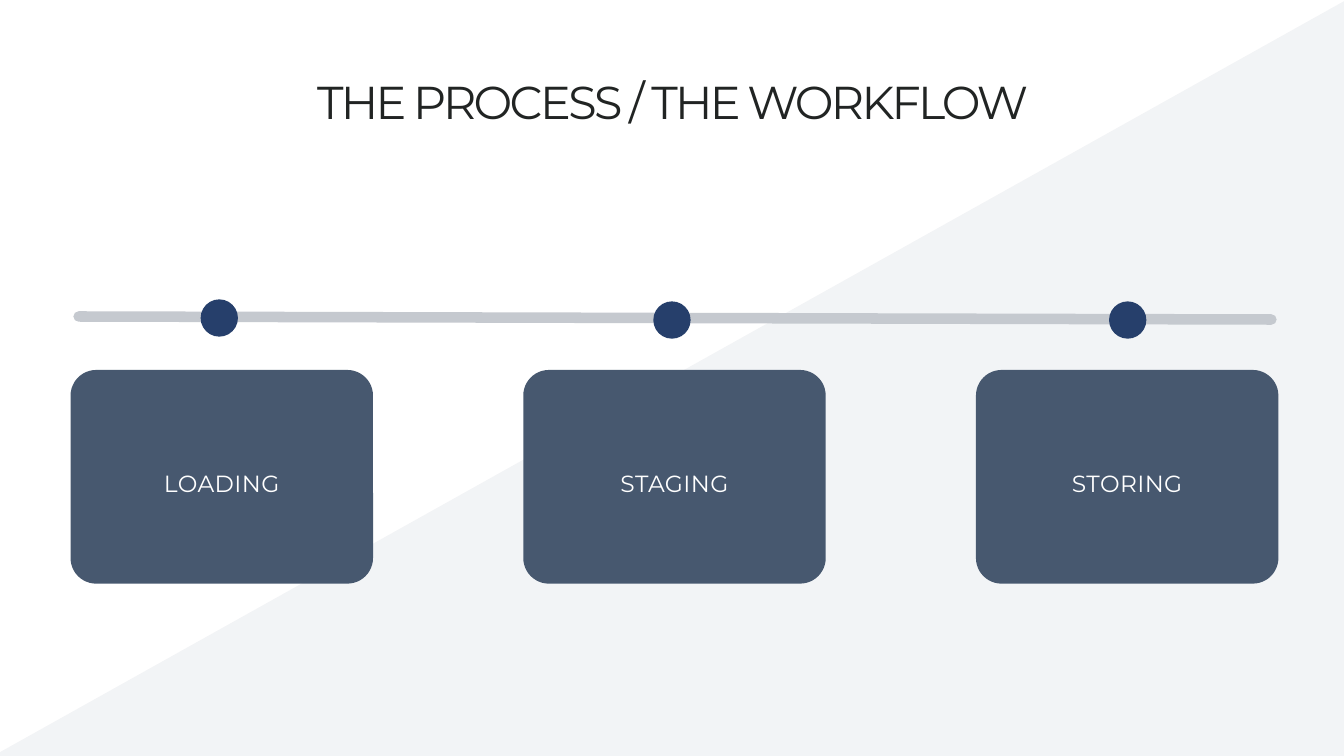
from lxml import etree
from pptx import Presentation
from pptx.dml.color import RGBColor
from pptx.enum import shapes, text
from pptx.oxml import ns
from pptx.util import Inches, Pt

COLORS = {
    "wash": "082953",
    "track": "C5C9CF",
    "dot": "263F6B",
    "card": "47586F",
    "title": "212423",
    "label": "FFFFFF",
}
FONT = "Montserrat"
STAGES = [("LOADING", 1.99, 2.97), ("STAGING", 6.48, 2.99), ("STORING", 11, 2.99)]
CARD_STEP = 4.49
DOT_SIZE = 0.37


def add_filled_shape(slide, kind, box, color):
    shape = slide.shapes.add_shape(kind, *map(Inches, box))
    shape.shadow.inherit = False
    shape.fill.solid()
    shape.fill.fore_color.rgb = RGBColor.from_string(COLORS[color])
    shape.line.fill.background()
    return shape


def write_line(frame, words, size, leading, spacing, color):
    frame.word_wrap = True
    frame.auto_size = text.MSO_AUTO_SIZE.NONE
    frame.margin_left = frame.margin_right = 0
    frame.margin_top = frame.margin_bottom = 0
    paragraph = frame.paragraphs[0]
    paragraph.alignment = text.PP_ALIGN.CENTER
    paragraph.line_spacing = Pt(leading)
    paragraph.space_before = Pt(0)
    run = paragraph.add_run()
    run.text = words
    run.font.name = FONT
    run.font.size = Pt(size)
    run.font.color.rgb = RGBColor.from_string(COLORS[color])
    run.font._element.set("spc", str(round(spacing * 100)))


def add_background(slide, box):
    wash = add_filled_shape(slide, shapes.MSO_SHAPE.RECTANGLE, box, "wash")
    wash.rotation = 330.8
    color = wash.fill._xPr.find(".//" + ns.qn("a:srgbClr"))
    etree.SubElement(color, ns.qn("a:alpha"), val="5000")


def add_title(slide, box):
    title = slide.shapes.title
    title.left, title.top, title.width, title.height = map(Inches, box)
    title.text_frame.vertical_anchor = text.MSO_ANCHOR.TOP
    write_line(title.text_frame, "THE PROCESS / THE WORKFLOW", 32.9, 32.2, -1.9, "title")


def add_track(slide, box):
    left, top, width, height = box
    ends = (left, top, left + width, top + height)
    track = slide.shapes.add_connector(shapes.MSO_CONNECTOR.STRAIGHT, *map(Inches, ends))
    track.line.width = Pt(7.5)
    track.line.color.rgb = RGBColor.from_string(COLORS["track"])
    track.line._ln.set("cap", "rnd")
    etree.SubElement(track._element.spPr, ns.qn("a:effectLst"))


def add_stages(slide, box):
    left, top, width, height = box
    for index, (name, dot_left, dot_top) in enumerate(STAGES):
        dot_box = (dot_left, dot_top, DOT_SIZE, DOT_SIZE)
        add_filled_shape(slide, shapes.MSO_SHAPE.OVAL, dot_box, "dot")
        card_box = (left + index * CARD_STEP, top, width, height)
        card = add_filled_shape(slide, shapes.MSO_SHAPE.ROUNDED_RECTANGLE, card_box, "card")
        card.adjustments[0] = 0.12
        frame = card.text_frame
        write_line(frame, name, 16.7, 21.7, 0.3, "label")
        frame.vertical_anchor = text.MSO_ANCHOR.MIDDLE
        frame.margin_top = Inches(0.11)


def main():
    presentation = Presentation()
    presentation.slide_width = Inches(13.33)
    presentation.slide_height = Inches(7.5)
    slide = presentation.slides.add_slide(presentation.slide_layouts[5])
    add_background(slide, (-0.81, 3.17, 18.8, 6.99))
    add_track(slide, (0.78, 3.14, 11.83, 0.03))
    add_stages(slide, (0.7, 3.67, 3, 2.12))
    add_title(slide, (1.56, 0.83, 10.22, 0.46))
    presentation.save("out.pptx")


if __name__ == "__main__":
    main()
